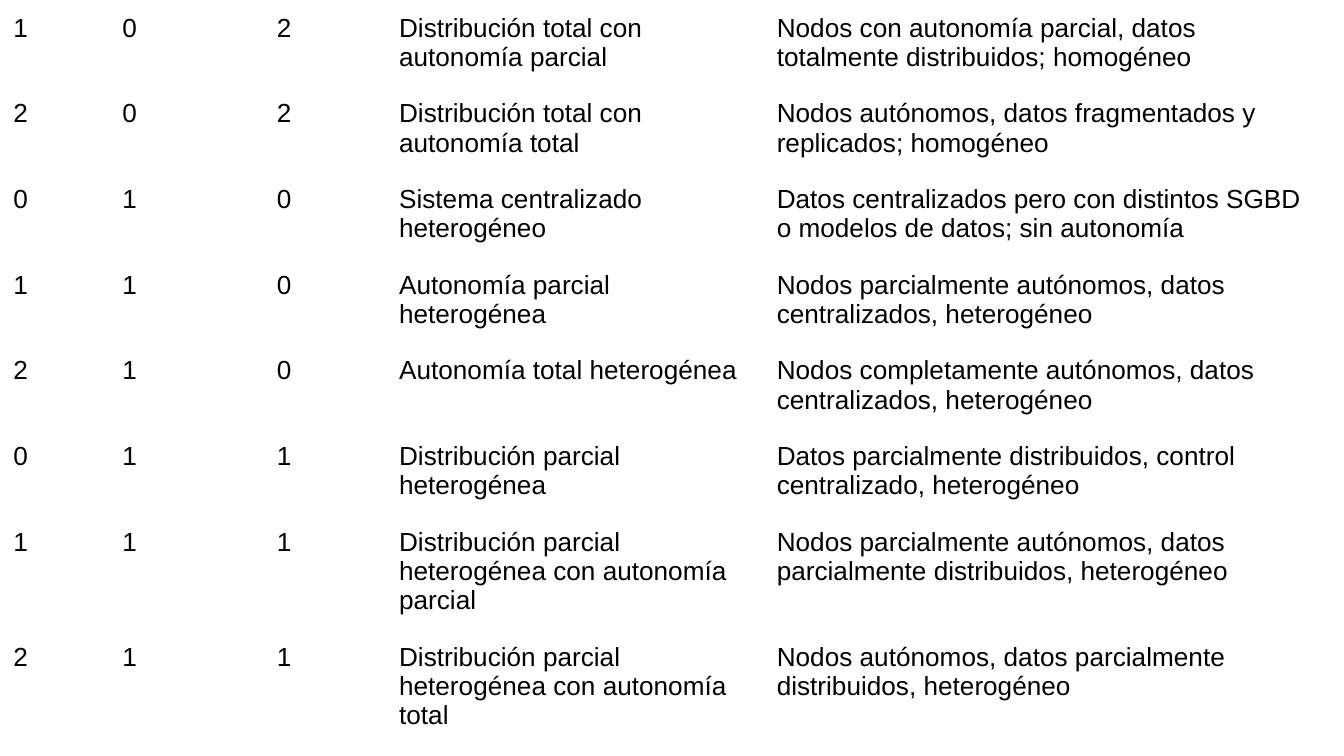
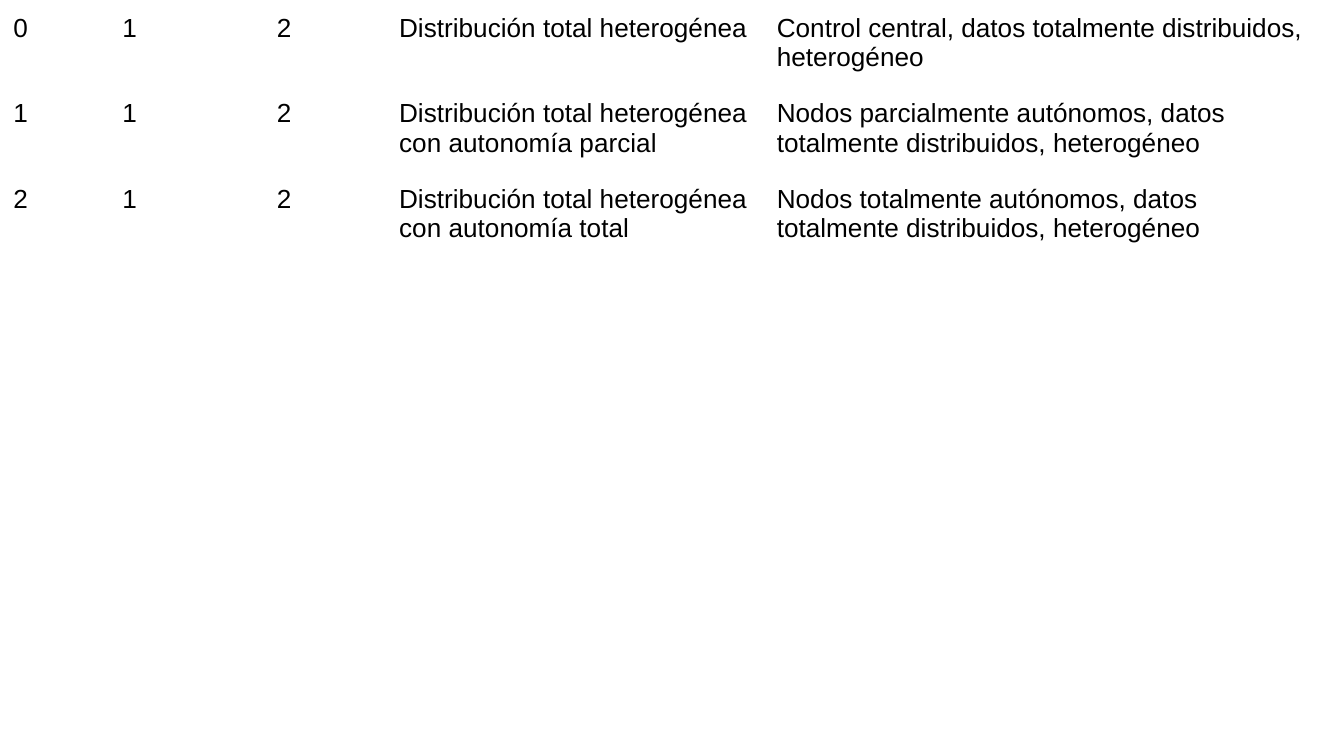
from typing import NamedTuple

from pptx import Presentation
from pptx.dml.color import RGBColor
from pptx.slide import Slide
from pptx.table import _Cell
from pptx.util import Inches, Pt

SLIDE_WIDTH = Inches(10)
SLIDE_HEIGHT = SLIDE_WIDTH * 9 // 16
BLACK = RGBColor(0x00, 0x00, 0x00)
FONT_NAME = "Arial"
FONT_SIZE = Pt(14)
CELL_MARGIN = Inches(0.1)
ROW_HEIGHT = Inches(0.4)
COLUMN_WIDTHS = [Inches(width) for width in (0.81, 1.15, 0.91, 2.81, 4.19)]


class Architecture(NamedTuple):
    autonomy: int
    heterogeneity: int
    distribution: int
    name: str
    description: str


SLIDE_ARCHITECTURES = [
    [
        Architecture(1, 0, 2, "Distribución total con autonomía parcial",
                     "Nodos con autonomía parcial, datos totalmente distribuidos; homogéneo"),
        Architecture(2, 0, 2, "Distribución total con autonomía total",
                     "Nodos autónomos, datos fragmentados y replicados; homogéneo"),
        Architecture(0, 1, 0, "Sistema centralizado heterogéneo",
                     "Datos centralizados pero con distintos SGBD o modelos de datos; sin autonomía"),
        Architecture(1, 1, 0, "Autonomía parcial heterogénea",
                     "Nodos parcialmente autónomos, datos centralizados, heterogéneo"),
        Architecture(2, 1, 0, "Autonomía total heterogénea",
                     "Nodos completamente autónomos, datos centralizados, heterogéneo"),
        Architecture(0, 1, 1, "Distribución parcial heterogénea",
                     "Datos parcialmente distribuidos, control centralizado, heterogéneo"),
        Architecture(1, 1, 1, "Distribución parcial heterogénea con autonomía parcial",
                     "Nodos parcialmente autónomos, datos parcialmente distribuidos, heterogéneo"),
        Architecture(2, 1, 1, "Distribución parcial heterogénea con autonomía total",
                     "Nodos autónomos, datos parcialmente distribuidos, heterogéneo"),
    ],
    [
        Architecture(0, 1, 2, "Distribución total heterogénea",
                     "Control central, datos totalmente distribuidos, heterogéneo"),
        Architecture(1, 1, 2, "Distribución total heterogénea con autonomía parcial",
                     "Nodos parcialmente autónomos, datos totalmente distribuidos, heterogéneo"),
        Architecture(2, 1, 2, "Distribución total heterogénea con autonomía total",
                     "Nodos totalmente autónomos, datos totalmente distribuidos, heterogéneo"),
    ],
]


def fill_cell(cell: _Cell, text: str) -> None:
    cell.fill.background()
    cell.margin_left = cell.margin_right = CELL_MARGIN
    cell.margin_top = cell.margin_bottom = CELL_MARGIN
    cell.text = text
    font = cell.text_frame.paragraphs[0].font
    font.name = FONT_NAME
    font.size = FONT_SIZE
    font.color.rgb = BLACK


def add_architecture_table(slide: Slide, architectures: list[Architecture]) -> None:
    table = slide.shapes.add_table(
        len(architectures), len(COLUMN_WIDTHS), Inches(0), Inches(0),
        sum(COLUMN_WIDTHS), ROW_HEIGHT * len(architectures),
    ).table
    table.first_row = False
    table.horz_banding = False
    for column, width in zip(table.columns, COLUMN_WIDTHS):
        column.width = width
    for row, architecture in zip(table.rows, architectures):
        for cell, value in zip(row.cells, architecture):
            fill_cell(cell, str(value))


def main() -> None:
    presentation = Presentation()
    presentation.slide_width = SLIDE_WIDTH
    presentation.slide_height = SLIDE_HEIGHT
    blank_layout = presentation.slide_layouts.get_by_name("Blank")
    for architectures in SLIDE_ARCHITECTURES:
        slide = presentation.slides.add_slide(blank_layout)
        add_architecture_table(slide, architectures)
    presentation.save("out.pptx")


if __name__ == "__main__":
    main()
